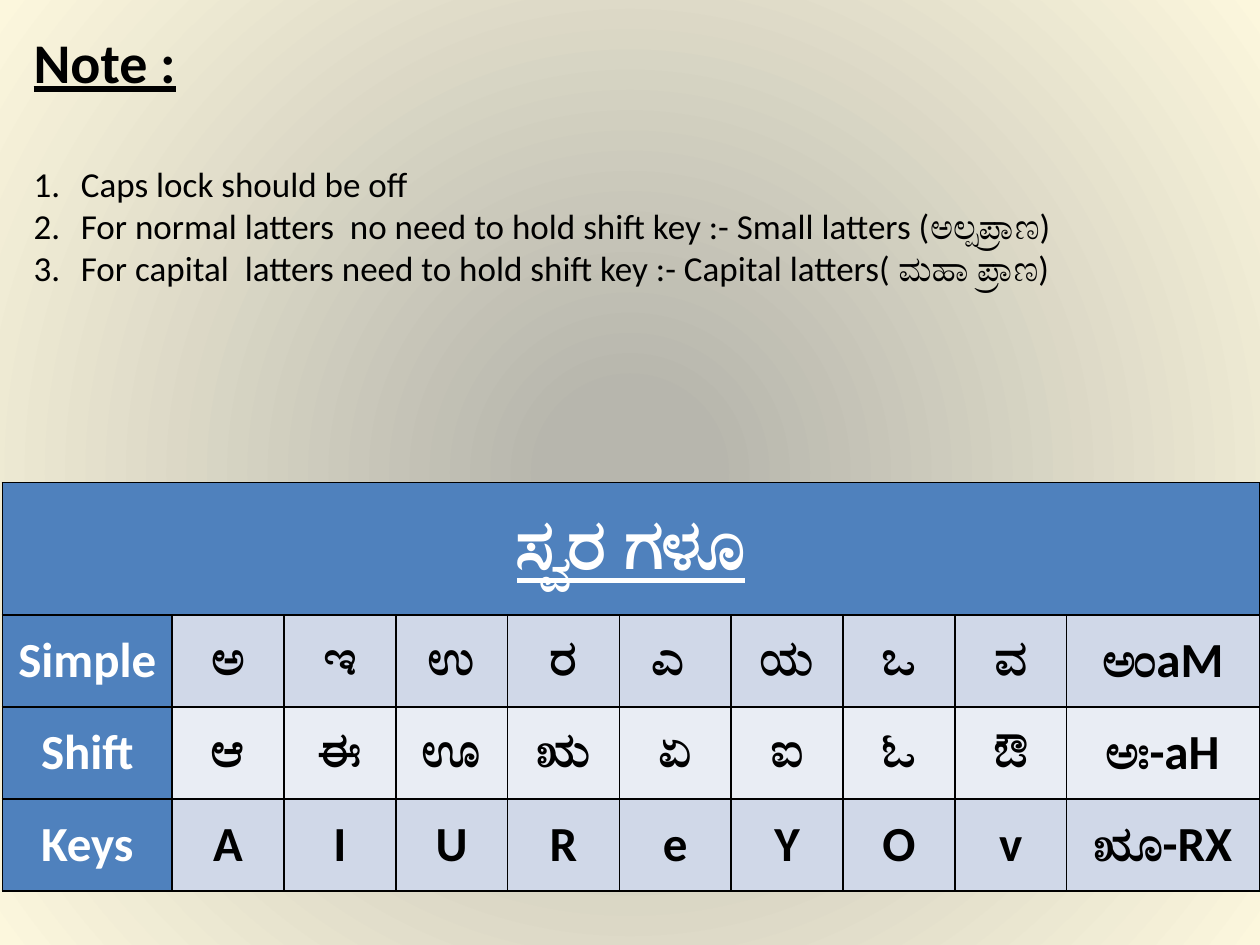
from lxml import etree
from pptx import Presentation
from pptx.dml.color import RGBColor
from pptx.enum.text import MSO_ANCHOR, MSO_AUTO_SIZE, PP_ALIGN
from pptx.oxml.ns import qn
from pptx.util import Pt

LEFT, CENTER = PP_ALIGN.LEFT, PP_ALIGN.CENTER
TOP, MIDDLE = MSO_ANCHOR.TOP, MSO_ANCHOR.MIDDLE
NO_FIT = MSO_AUTO_SIZE.NONE

BLACK = RGBColor(0x00, 0x00, 0x00)
WHITE = RGBColor(0xFF, 0xFF, 0xFF)
BLUE = RGBColor(0x4F, 0x81, 0xBD)
BAND_DARK = RGBColor(0xD0, 0xD8, 0xE8)
BAND_LIGHT = RGBColor(0xE9, 0xED, 0xF4)
GLOW_CENTER = RGBColor(0xB7, 0xB6, 0xAD)
GLOW_EDGE = RGBColor(0xFC, 0xF7, 0xDD)

RULES = [
    "Caps lock should be off",
    "For normal latters  no need to hold shift key :- Small latters (ಅಲ್ಪಪ್ರಾಣ)",
    "For capital  latters need to hold shift key :- Capital latters( ಮಹಾ ಪ್ರಾಣ)",
]
VOWEL_TITLE = "ಸ್ವರ ಗಳೂ"
VOWEL_ROWS = [
    ["Simple", "ಅ", "ಇ", "ಉ", "ರ", "ಎ ", "ಯ", "ಒ", "ವ", "ಅಂaM"],
    ["Shift", "ಆ", "ಈ", "ಊ", "ಋ", "ಏ", "ಐ", "ಓ", "ಔ", "ಅಃ-aH"],
    ["Keys", "A", "I", "U", "R", "e", "Y", "O", "v", "ೠ-RX"],
]
COLUMN_WIDTHS = [97] + [63.9] * 8 + [110.4]
ROW_HEIGHTS = [75.6] + [52.6] * 3


def add_text(paragraph, text, size, color, bold=False, underline=False):
    run = paragraph.add_run()
    run.text = text
    run.font.name = "Calibri"
    run.font.size = Pt(size)
    run.font.bold = bold
    run.font.underline = underline
    run.font.color.rgb = color


def format_cell(cell, text, size, fill, color, underline=False):
    cell.fill.solid()
    cell.fill.fore_color.rgb = fill
    cell.vertical_anchor = MIDDLE
    cell.margin_left = cell.margin_right = Pt(5)
    cell.margin_top = cell.margin_bottom = Pt(0)
    paragraph = cell.text_frame.paragraphs[0]
    paragraph.alignment = CENTER
    if text:
        add_text(paragraph, text, size, color, True, underline)


prs = Presentation()
prs.slide_width, prs.slide_height = Pt(720), Pt(540)
slide = prs.slides.add_slide(prs.slide_layouts[5])

# Background: circular glow
glow = slide.background.fill
glow.gradient()
inner, outer = glow.gradient_stops
inner.position, inner.color.rgb = 0.1, GLOW_CENTER
outer.position, outer.color.rgb = 1, GLOW_EDGE
grad = slide.background._cSld.find(".//" + qn("a:gradFill"))
edge_color = grad.findall(".//" + qn("a:srgbClr"))[-1]
etree.SubElement(edge_color, qn("a:alpha"), val="80000")
circle = etree.Element(qn("a:path"), path="circle")
etree.SubElement(circle, qn("a:fillToRect"), l="50000", t="50000", r="50000", b="50000")
grad.replace(grad.find(qn("a:lin")), circle)

# Note heading with numbered rules
note = slide.shapes.title
note.left, note.top, note.width, note.height = Pt(12), Pt(12), Pt(696), Pt(174)
note_frame = note.text_frame
note_frame.word_wrap = True
note_frame.auto_size = NO_FIT
note_frame.vertical_anchor = TOP
heading = note_frame.paragraphs[0]
heading.alignment = LEFT
add_text(heading, "Note :", 32, BLACK, True, True)

for index, rule in enumerate(RULES):
    item = note_frame.add_paragraph()
    item.alignment = LEFT
    item.space_before = Pt(39 if index == 0 else 0)
    props = item._p.get_or_add_pPr()
    props.set("marL", str(Pt(27)))
    props.set("indent", str(-Pt(27)))
    etree.SubElement(props, qn("a:buFont"), typeface="+mj-lt")
    etree.SubElement(props, qn("a:buAutoNum"), type="arabicPeriod")
    add_text(item, rule, 20, BLACK)

# Vowel key table
vowels = slide.shapes.add_table(
    len(ROW_HEIGHTS), len(COLUMN_WIDTHS),
    Pt(1.4), Pt(275.8), Pt(sum(COLUMN_WIDTHS)), Pt(sum(ROW_HEIGHTS)),
).table
for column, width in zip(vowels.columns, COLUMN_WIDTHS):
    column.width = Pt(width)
for row, height in zip(vowels.rows, ROW_HEIGHTS):
    row.height = Pt(height)

vowels.cell(0, 0).merge(vowels.cell(0, len(COLUMN_WIDTHS) - 1))
for c in range(len(COLUMN_WIDTHS)):
    format_cell(vowels.cell(0, c), "" if c else VOWEL_TITLE, 40, BLUE, WHITE, True)

for r, letters in enumerate(VOWEL_ROWS, start=1):
    band = BAND_DARK if r % 2 else BAND_LIGHT
    for c, letter in enumerate(letters):
        fill, color = (band, BLACK) if c else (BLUE, WHITE)
        format_cell(vowels.cell(r, c), letter, 28, fill, color)

# Cell borders, placed ahead of the fill
for cell in vowels.iter_cells():
    cell_props = cell._tc.get_or_add_tcPr()
    for position, side in enumerate(("a:lnL", "a:lnR", "a:lnT", "a:lnB")):
        border = etree.Element(qn(side), w=str(Pt(1)))
        border_fill = etree.SubElement(border, qn("a:solidFill"))
        etree.SubElement(border_fill, qn("a:srgbClr"), val=str(BLACK))
        cell_props.insert(position, border)

prs.save("out.pptx")
